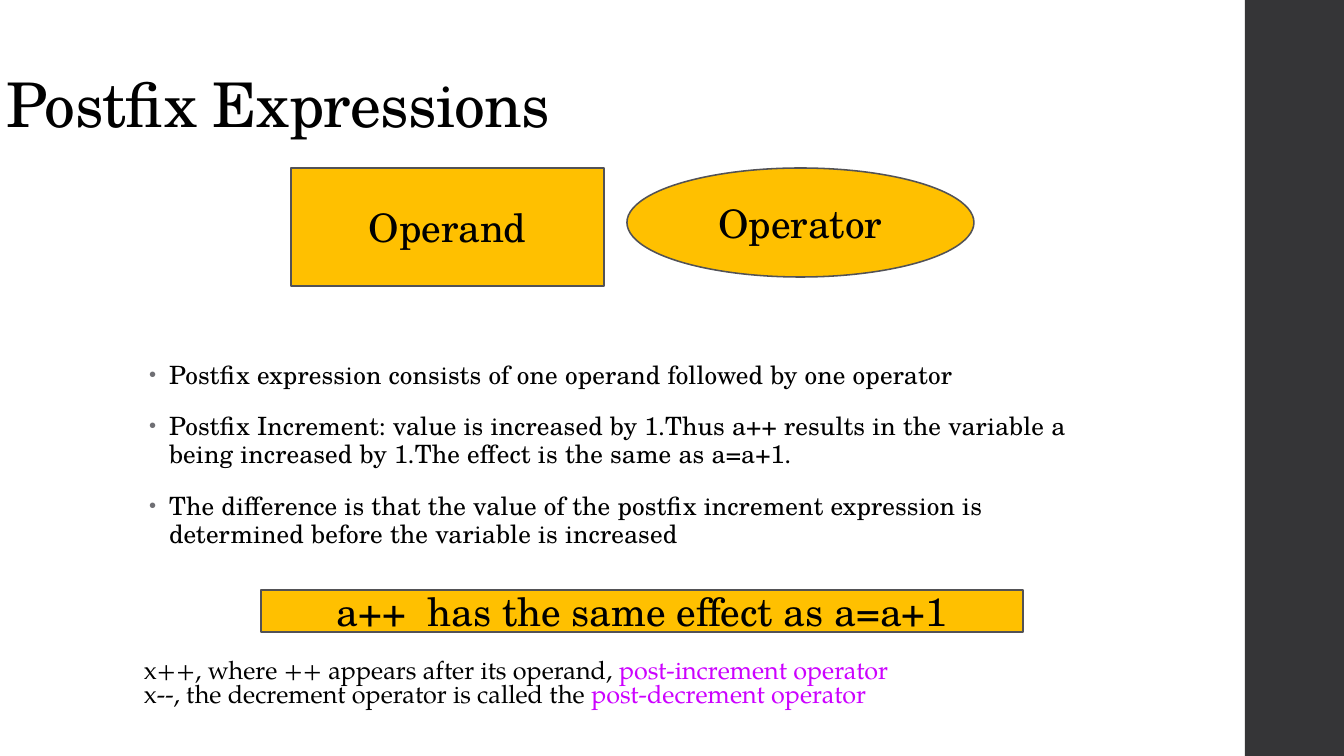
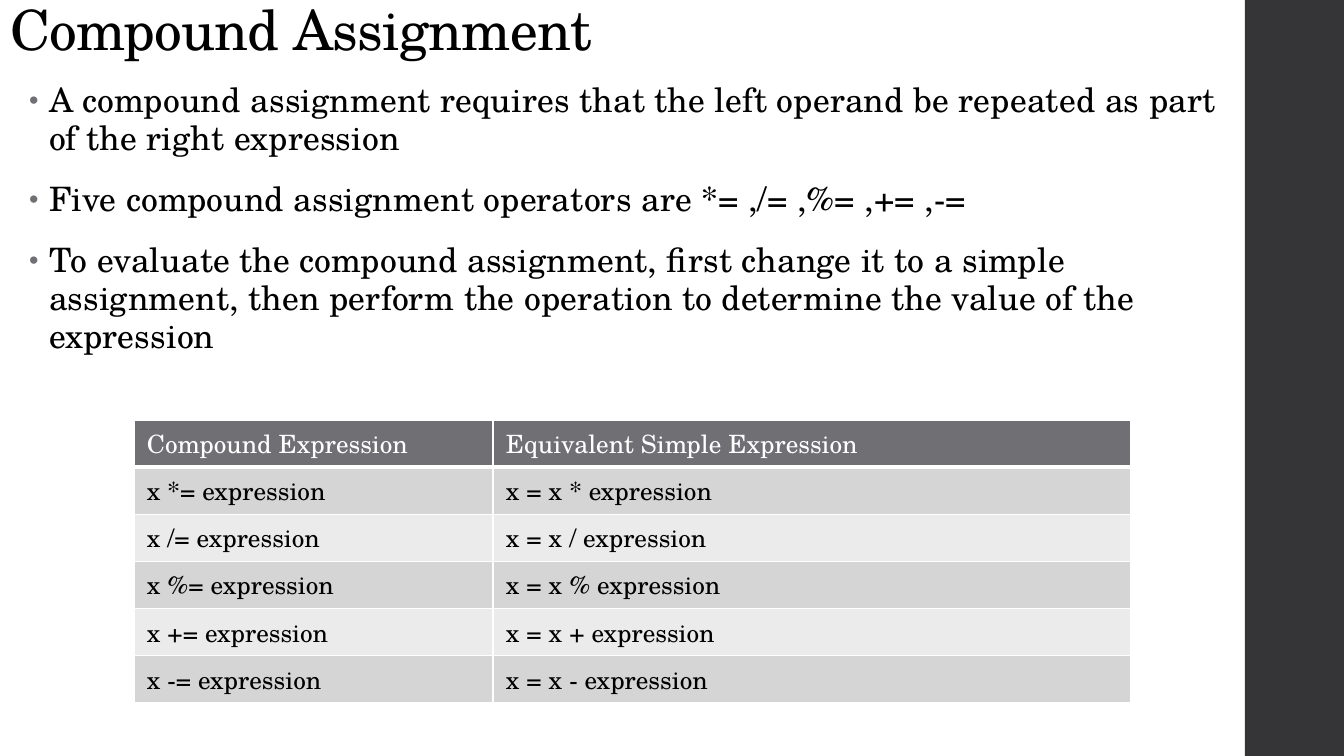
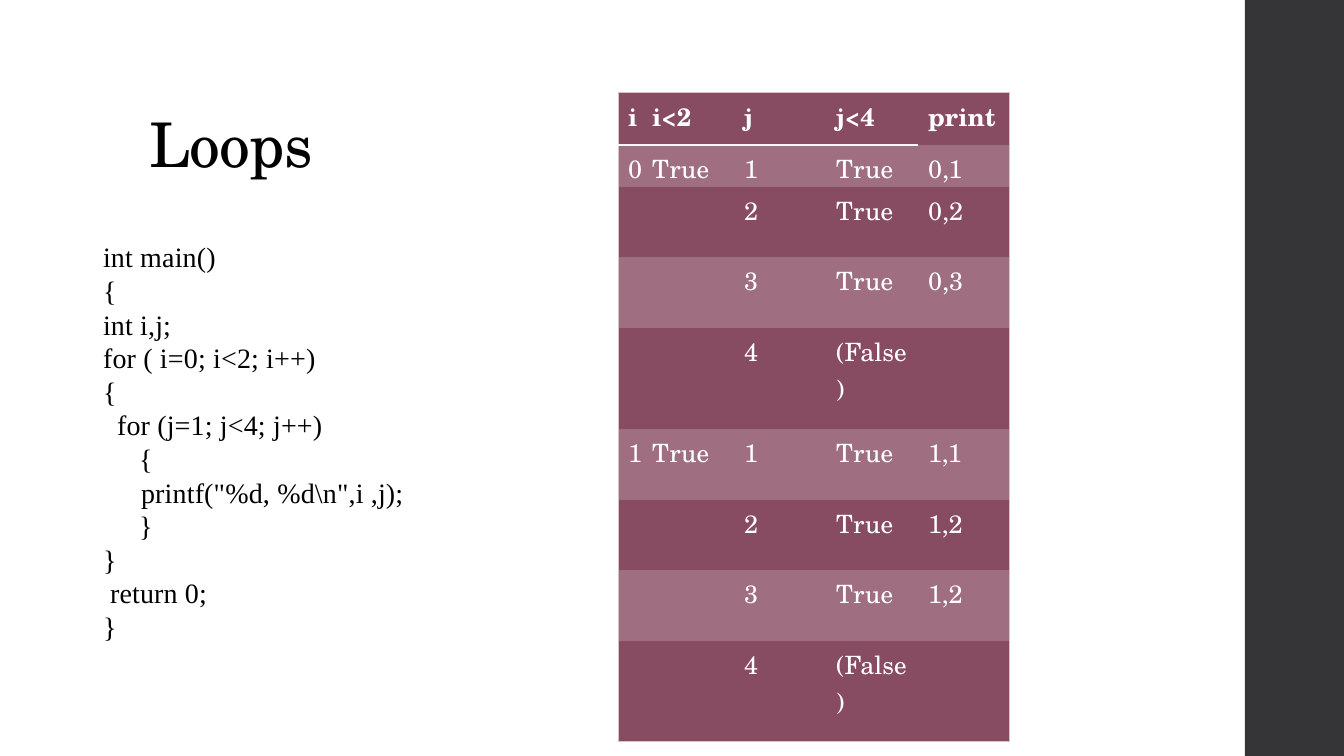
import pptx
import pptx.dml.color
import pptx.enum.shapes
import pptx.enum.text
import pptx.oxml
import pptx.oxml.ns
import pptx.util
from lxml import etree

RGB = pptx.dml.color.RGBColor
Pt = pptx.util.Pt
ANCHOR = pptx.enum.text.MSO_ANCHOR
ALIGN = pptx.enum.text.PP_ALIGN
SHAPE = pptx.enum.shapes.MSO_SHAPE
qn = pptx.oxml.ns.qn

PIXELS_PER_INCH = 100.8
SLIDE_WIDTH, SLIDE_HEIGHT = 1344, 756
BAND_LEFT = 1245

BLACK = RGB(0x00, 0x00, 0x00)
WHITE = RGB(0xFF, 0xFF, 0xFF)
BAND = RGB(0x35, 0x35, 0x37)
AMBER = RGB(0xFF, 0xC0, 0x00)
OUTLINE = RGB(0x52, 0x52, 0x56)
GRAY = RGB(0x6F, 0x6F, 0x74)
ROW_DARK = RGB(0xD5, 0xD5, 0xD6)
ROW_LIGHT = RGB(0xEB, 0xEB, 0xEB)
MAGENTA = RGB(0xCC, 0x00, 0xFF)
PLUM = RGB(0x87, 0x4B, 0x62)
PLUM_LIGHT = RGB(0x9F, 0x6F, 0x81)
PLUM_EDGE = RGB(0xD0, 0xC6, 0xC9)
HEADER_RULE = RGB(0xF9, 0xF9, 0xF9)

SCHOLA = "TeX Gyre Schola"
PAGELLA = "TeX Gyre Pagella"
TIMES = "Times New Roman"

NO_TABLE_STYLE = "{2D5ABB26-0587-4C30-8999-92F81FD0307C}"
TITLE_PARAGRAPH = {"alignment": ALIGN.LEFT, "line_spacing": 0.9}
LIST_PARAGRAPH = {"line_spacing": 0.95, "space_before": Pt(14), "space_after": Pt(2)}
CODE_PARAGRAPH = {"line_spacing": Pt(24), "space_before": Pt(0), "space_after": Pt(0)}


def px(length):
    return pptx.util.Emu(round(length * 914400 / PIXELS_PER_INCH))


def set_format(target, values):
    for name, value in values.items():
        setattr(target, name, value)


def place(shape, box):
    set_format(shape, dict(zip(("left", "top", "width", "height"), map(px, box))))


def add_run(paragraph, text, size, color=BLACK, font=SCHOLA, bold=False, spacing=0):
    """Add formatted text; spacing is the letter spacing in points."""
    run = paragraph.add_run()
    run.text = text
    set_format(run.font, {"size": Pt(size), "name": font, "bold": bold})
    run.font.color.rgb = color
    if spacing:
        run._r.get_or_add_rPr().set("spc", str(round(spacing * 100)))


def next_paragraph(frame, index):
    return frame.add_paragraph() if index else frame.paragraphs[0]


def set_indent(paragraph, left, first_line=0):
    properties = paragraph._p.get_or_add_pPr()
    properties.set("marL", str(px(left)))
    properties.set("indent", str(px(first_line)))
    return properties


def set_bullet(paragraph):
    properties = set_indent(paragraph, 20, -20)
    color = etree.SubElement(properties, qn("a:buClr"))
    etree.SubElement(color, qn("a:srgbClr"), val=str(GRAY))
    etree.SubElement(properties, qn("a:buSzPct"), val="80000")
    etree.SubElement(properties, qn("a:buChar"), char="•")


def add_slide(presentation, title, title_box, title_size=44):
    slide = presentation.slides.add_slide(presentation.slide_layouts[1])
    shape = slide.shapes.title
    place(shape, title_box)
    frame = shape.text_frame
    set_format(frame, {"vertical_anchor": ANCHOR.BOTTOM, "word_wrap": True,
                       "auto_size": pptx.enum.text.MSO_AUTO_SIZE.NONE})
    paragraph = frame.paragraphs[0]
    set_format(paragraph, TITLE_PARAGRAPH)
    add_run(paragraph, title, title_size, spacing=-0.5)
    return slide


def body_frame(slide, box, anchor=ANCHOR.TOP):
    shape = slide.placeholders[1]
    place(shape, box)
    frame = shape.text_frame
    set_format(frame, {"vertical_anchor": anchor, "word_wrap": True,
                       "auto_size": pptx.enum.text.MSO_AUTO_SIZE.NONE})
    return frame


def fill_list(slide, box, items, size):
    frame = body_frame(slide, box)
    for index, item in enumerate(items):
        paragraph = next_paragraph(frame, index)
        set_format(paragraph, LIST_PARAGRAPH)
        set_bullet(paragraph)
        add_run(paragraph, item, size, spacing=0.1)


def fill_code(slide, box, lines):
    """Fill the body with (indent, text) lines of code."""
    frame = body_frame(slide, box, ANCHOR.MIDDLE)
    for index, (indent, text) in enumerate(lines):
        paragraph = next_paragraph(frame, index)
        set_format(paragraph, CODE_PARAGRAPH)
        properties = set_indent(paragraph, indent)
        etree.SubElement(properties, qn("a:buNone"))
        add_run(paragraph, text, 20, font=TIMES, spacing=0.1)


def add_filled_shape(slide, kind, box, fill):
    shape = slide.shapes.add_shape(kind, *map(px, box))
    shape.shadow.inherit = False
    shape.fill.solid()
    shape.fill.fore_color.rgb = fill
    shape.line.fill.background()
    return shape


def add_label(slide, kind, box, text):
    shape = add_filled_shape(slide, kind, box, AMBER)
    shape.line.color.rgb = OUTLINE
    shape.line.width = Pt(1.1)
    shape.text_frame.vertical_anchor = ANCHOR.MIDDLE
    paragraph = shape.text_frame.paragraphs[0]
    paragraph.alignment = ALIGN.CENTER
    add_run(paragraph, text, 28)


def add_notes_box(slide, box, lines):
    """Add lines that each end in a highlighted term."""
    frame = slide.shapes.add_textbox(*map(px, box)).text_frame
    frame.word_wrap = True
    for index, (text, term) in enumerate(lines):
        paragraph = next_paragraph(frame, index)
        paragraph.line_spacing = 0.8
        add_run(paragraph, text, 18, font=PAGELLA)
        add_run(paragraph, term, 18, MAGENTA, PAGELLA)


def set_borders(cell, borders):
    """Draw the cell's edges from a dict of side to (colour, points)."""
    properties = cell._tc.get_or_add_tcPr()
    for side in "LRTB":
        if side in borders:
            color, width = borders[side]
            line = etree.SubElement(properties, qn("a:ln" + side), w=str(Pt(width)))
            fill = etree.SubElement(line, qn("a:solidFill"))
            etree.SubElement(fill, qn("a:srgbClr"), val=str(color))


def add_table(slide, corner, widths, heights, rows, style_cell):
    """Add a table; style_cell gives a cell's fill, colour, bold, borders and margins."""
    frame = slide.shapes.add_table(len(rows), len(widths), *map(px, corner),
                                   px(sum(widths)), px(sum(heights)))
    table = frame.table
    set_format(table, {"first_row": False, "horz_banding": False})
    table._tbl.tblPr.find(qn("a:tableStyleId")).text = NO_TABLE_STYLE
    for column, width in zip(table.columns, widths):
        column.width = px(width)
    for row, height in zip(table.rows, heights):
        row.height = px(height)
    for row_index, texts in enumerate(rows):
        for column_index, text in enumerate(texts):
            cell = table.cell(row_index, column_index)
            style = style_cell(row_index, column_index)
            set_format(cell, style["margins"])
            set_borders(cell, style["borders"])
            cell.fill.solid()
            cell.fill.fore_color.rgb = style["fill"]
            if text:
                add_run(cell.text_frame.paragraphs[0], text, 18, style["color"],
                        bold=style["bold"])


def compound_style(row, column):
    header = row == 0
    borders = {side: (WHITE, 1) for side in "LRTB"}
    if header:
        borders["B"] = (WHITE, 3)
    elif row == 1:
        borders["T"] = (WHITE, 3)
    return {"fill": GRAY if header else (ROW_LIGHT, ROW_DARK)[row % 2],
            "color": WHITE if header else BLACK, "bold": False, "borders": borders,
            "margins": {"margin_left": px(13), "margin_right": px(13)}}


def trace_style(row, column):
    edge = (PLUM_EDGE, 0.75)
    on_edge = {"L": column == 0, "R": column == 4, "T": row == 0, "B": row == 8}
    borders = {side: edge for side, shown in on_edge.items() if shown}
    if row == 0 and column < 4:
        borders["B"] = (HEADER_RULE, 1.35)
    return {"fill": (PLUM, PLUM_LIGHT)[row % 2], "color": WHITE, "bold": row == 0,
            "borders": borders, "margins": {"margin_bottom": 0}}


def add_master_band(presentation, slide):
    """Put the dark right-hand band on the slide master."""
    box = (BAND_LEFT, 0, SLIDE_WIDTH - BAND_LEFT, SLIDE_HEIGHT)
    band = add_filled_shape(slide, SHAPE.RECTANGLE, box, BAND)
    presentation.slide_master.element.cSld.spTree.append(band.element)


def build_postfix(presentation):
    slide = add_slide(presentation, "Postfix Expressions", (-4, 0, 1068, 146))
    add_master_band(presentation, slide)
    fill_list(slide, (139, 356, 948, 326), [
        "Postfix expression consists of one operand followed by one operator",
        "Postfix Increment: value is increased by 1.Thus a++ results in the variable a "
        "being increased by 1.The effect is the same as a=a+1.",
        "The difference is that the value of the postfix increment expression is "
        "determined before the variable is increased",
    ], 18)
    add_label(slide, SHAPE.RECTANGLE, (291, 168, 313, 118), "Operand")
    add_label(slide, SHAPE.OVAL, (627, 168, 347, 109), "Operator")
    add_label(slide, SHAPE.RECTANGLE, (261, 590, 762, 42),
              "a++  has the same effect as a=a+1")
    add_notes_box(slide, (134, 655, 1165, 59), [
        ("x++, where ++ appears after its operand, ", "post-increment operator"),
        ("x--, the decrement operator is called the ", "post-decrement operator"),
    ])


def build_compound(presentation):
    slide = add_slide(presentation, "Compound Assignment", (0, 6, 1142, 62), 39.6)
    fill_list(slide, (19, 77, 1221, 651), [
        "A compound assignment requires that the left operand be repeated as part "
        "of the right expression",
        "Five compound assignment operators are *= ,/= ,%= ,+= ,-=",
        "To evaluate the compound assignment, first change it to a simple assignment, "
        "then perform the operation to determine the value of the expression",
    ], 24)
    rows = [("Compound Expression", "Equivalent Simple Expression")]
    rows += [(f"x {sign}= expression", f"x = x {sign} expression") for sign in "*/%+-"]
    add_table(slide, (134, 420), (359, 638), [47] * len(rows), rows, compound_style)


def build_loops(presentation):
    slide = add_slide(presentation, "Loops", (139, 40, 1068, 146))
    fill_code(slide, (93, 233, 335, 417), [
        (0, "int main()"),
        (0, "{"),
        (0, "int i,j;"),
        (0, "for ( i=0; i<2; i++)"),
        (0, "{"),
        (14, "for (j=1; j<4; j++)"),
        (36, "{"),
        (38, 'printf("%d, %d\\n",i ,j);'),
        (36, "}"),
        (0, "}"),
        (7, "return 0;"),
        (0, "}"),
    ])
    rows = [
        ("i", "i<2", "j", "j<4", "print"),
        ("0", "True", "1", "True", "0,1"),
        ("", "", "2", "True", "0,2"),
        ("", "", "3", "True", "0,3"),
        ("", "", "4", "(False)", ""),
        ("1", "True", "1", "True", "1,1"),
        ("", "", "2", "True", "1,2"),
        ("", "", "3", "True", "1,2"),
        ("", "", "4", "(False)", ""),
    ]
    heights = (53, 41, 70, 71, 101, 71, 70, 71, 101)
    add_table(slide, (618, 92), (24, 92, 92, 92, 91), heights, rows, trace_style)


def main():
    presentation = pptx.Presentation()
    set_format(presentation, {"slide_width": px(SLIDE_WIDTH),
                              "slide_height": px(SLIDE_HEIGHT)})
    build_postfix(presentation)
    build_compound(presentation)
    build_loops(presentation)
    presentation.save("out.pptx")


if __name__ == "__main__":
    main()
